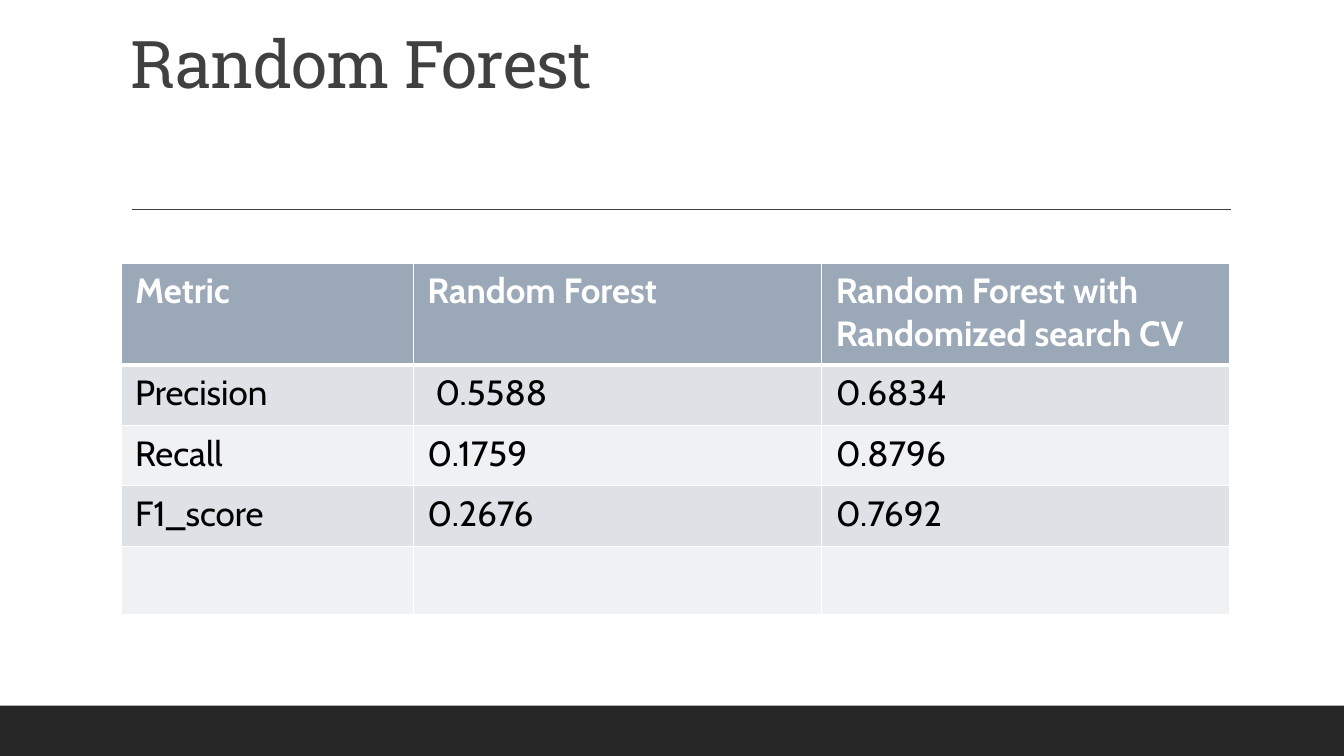
from pptx import Presentation
from pptx.dml.color import RGBColor
from pptx.enum.shapes import MSO_CONNECTOR, MSO_SHAPE
from pptx.enum.text import MSO_ANCHOR
from pptx.oxml import parse_xml
from pptx.oxml.ns import nsdecls
from pptx.oxml.xmlchemy import OxmlElement
from pptx.util import Inches, Pt


def color(value):
    return RGBColor.from_string(value)


def style(span, name, size, shade, bold=False):
    for key, value in {"name": name, "size": Pt(size), "bold": bold}.items():
        setattr(span.font, key, value)
    span.font.color.rgb = color(shade)


deck = Presentation()
deck.slide_width = Inches(13.33)
deck.slide_height = Inches(7.5)
page = deck.slides.add_slide(deck.slide_layouts[6])

footer = page.shapes.add_shape(
    MSO_SHAPE.RECTANGLE, Inches(0), Inches(7), Inches(13.33), Inches(0.5))
footer.shadow.inherit = False
footer.fill.solid()
footer.fill.fore_color.rgb = color("262626")
footer.line.fill.background()

rule = page.shapes.add_connector(
    MSO_CONNECTOR.STRAIGHT, Inches(1.31), Inches(2.08), Inches(12.21), Inches(2.08))
rule.line.color.rgb = color("404040")
rule.line.width = Pt(1)
rule._element.spPr.append(OxmlElement("a:effectLst"))

title = page.shapes.add_textbox(Inches(1.2), Inches(0.31), Inches(11), Inches(1.59))
frame = title.text_frame
for key, value in {"word_wrap": True, "vertical_anchor": MSO_ANCHOR.TOP,
                   "margin_left": Inches(0.1), "margin_top": Inches(0)}.items():
    setattr(frame, key, value)
para = frame.paragraphs[0]
para.line_spacing = 0.9
span = para.add_run()
span.text = "Random Forest"
style(span, "Roboto Slab", 47, "404040")
span.font._element.set("spc", "-50")

scores = [
    ["Metric", "Random Forest", "Random Forest with Randomized search CV"],
    ["Precision", " 0.5588", "0.6834"],
    ["Recall", "0.1759", "0.8796"],
    ["F1_score", "0.2676", "0.7692"],
    ["", "", ""],
]
widths = [2.9, 4.05, 4.05]
heights = [1.01, 0.6, 0.6, 0.6, 0.68]
margins = {"margin_left": 0.14, "margin_right": 0.14,
           "margin_top": 0.07, "margin_bottom": 0.07}

table = page.shapes.add_table(
    len(scores), len(widths), Inches(1.2), Inches(2.61),
    Inches(sum(widths)), Inches(sum(heights))).table
for column, width in zip(table.columns, widths):
    column.width = Inches(width)

for index, (values, height) in enumerate(zip(scores, heights)):
    table.rows[index].height = Inches(height)
    header = index == 0
    shade = "9BA8B7" if header else ("EFF1F3", "DEE1E6")[index % 2]
    for cell, value in zip(table.rows[index].cells, values):
        for key, margin in margins.items():
            setattr(cell, key, Inches(margin))
        properties = cell._tc.get_or_add_tcPr()
        for side in "LRTB":
            thick = (header and side == "B") or (index == 1 and side == "T")
            properties.append(parse_xml(
                f'<a:ln{side} {nsdecls("a")} w="{Pt(3 if thick else 1)}"><a:solidFill>'
                f'<a:srgbClr val="FFFFFF"/></a:solidFill></a:ln{side}>'))
        cell.fill.solid()
        cell.fill.fore_color.rgb = color(shade)
        if value:
            span = cell.text_frame.paragraphs[0].add_run()
            span.text = value
            style(span, "Cabin", 25, "FFFFFF" if header else "000000", header)

deck.save("out.pptx")
